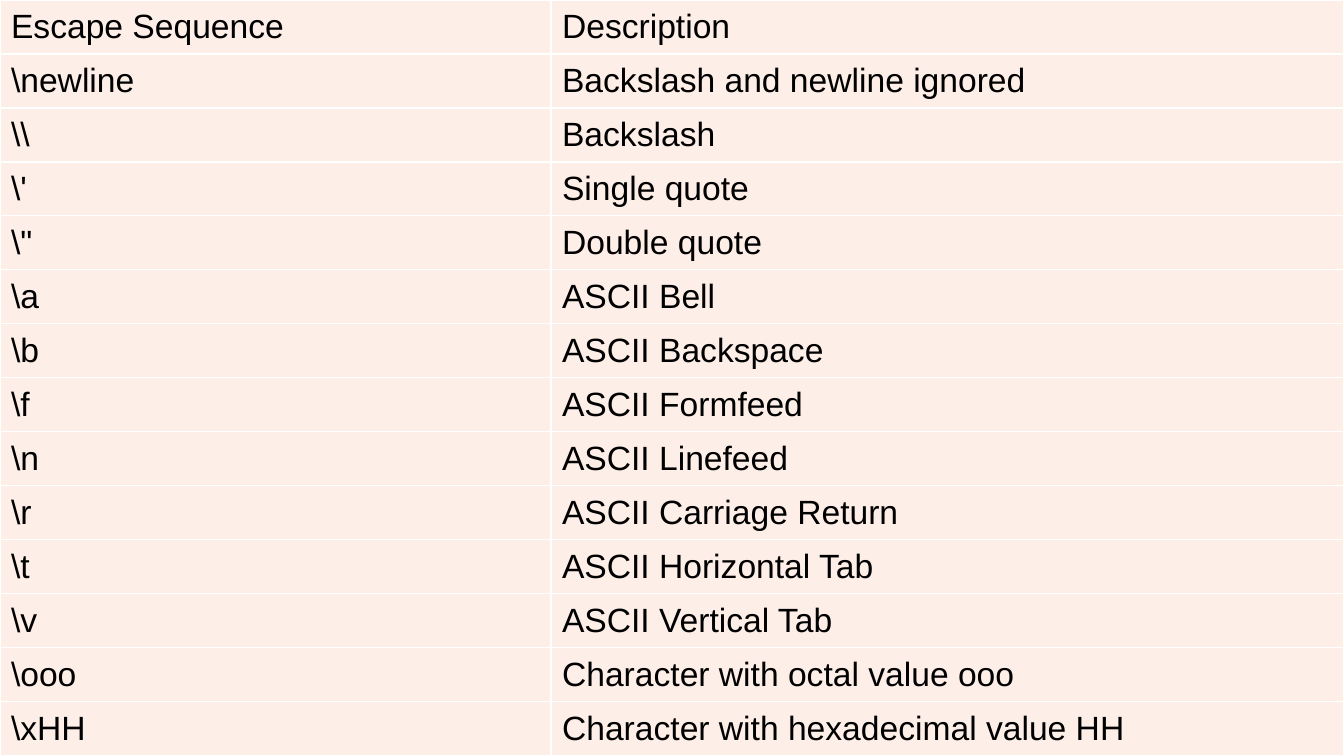
from lxml import etree
from pptx import Presentation
from pptx.dml.color import RGBColor
from pptx.enum.text import MSO_ANCHOR
from pptx.oxml.ns import qn
from pptx.util import Inches, Pt

MIDDLE = MSO_ANCHOR.MIDDLE
FONT = "Arial"
INK, CELL_FILL, RULE = "000000", "FEEEE8", "FFFFFF"
BACKGROUND = ("047385", "000000")
COLUMN_SHARES = (0.41, 0.59)
ROWS = [
    ("Escape Sequence", "Description"),
    (r"\newline", "Backslash and newline ignored"),
    (r"\\", "Backslash"),
    (r"\'", "Single quote"),
    (r'\"', "Double quote"),
    (r"\a", "ASCII Bell"),
    (r"\b", "ASCII Backspace"),
    (r"\f", "ASCII Formfeed"),
    (r"\n", "ASCII Linefeed"),
    (r"\r", "ASCII Carriage Return"),
    (r"\t", "ASCII Horizontal Tab"),
    (r"\v", "ASCII Vertical Tab"),
    (r"\ooo", "Character with octal value ooo"),
    (r"\xHH", "Character with hexadecimal value HH"),
]


def color(hex_string):
    return RGBColor.from_string(hex_string)


def set_background(s):
    """Fill the slide with a gradient that spreads from its top edge."""
    fill = s.background.fill
    fill.gradient()
    for stop, shade in zip(fill.gradient_stops, BACKGROUND):
        stop.color.rgb = color(shade)
    grad = s.element.find(".//" + qn("a:gradFill"))
    grad.remove(grad.find(qn("a:lin")))
    path = etree.SubElement(grad, qn("a:path"), path="circle")
    etree.SubElement(path, qn("a:fillToRect"), l="43000", t="0", r="43000", b="100000")


def set_borders(cell):
    """Rule all four sides; borders must come before the cell's fill."""
    props = cell._tc.get_or_add_tcPr()
    for i, side in enumerate(("a:lnL", "a:lnR", "a:lnT", "a:lnB")):
        line = etree.Element(qn(side), w=str(Pt(1)))
        solid = etree.SubElement(line, qn("a:solidFill"))
        etree.SubElement(solid, qn("a:srgbClr"), val=RULE)
        props.insert(i, line)


def style_cell(cell, text):
    cell.text = text
    cell.vertical_anchor = MIDDLE
    cell.margin_left = cell.margin_right = Inches(0.11)
    cell.margin_top = cell.margin_bottom = Inches(0.05)
    cell.fill.solid()
    cell.fill.fore_color.rgb = color(CELL_FILL)
    set_borders(cell)
    font = cell.text_frame.paragraphs[0].font
    font.name, font.size, font.bold = FONT, Pt(24), False
    font.color.rgb = color(INK)


def add_escape_table(s, left, top, width, height):
    frame = s.shapes.add_table(len(ROWS), len(COLUMN_SHARES), left, top, width, height)
    table = frame.table
    table.first_row = table.horz_banding = False
    for column, share in zip(table.columns, COLUMN_SHARES):
        column.width = round(width * share)
    for row, texts in zip(table.rows, ROWS):
        row.height = height // len(ROWS)
        for cell, text in zip(row.cells, texts):
            style_cell(cell, text)


def main():
    prs = Presentation()
    prs.slide_width, prs.slide_height = Inches(13.33), Inches(7.5)
    s = prs.slides.add_slide(prs.slide_layouts[6])
    set_background(s)
    add_escape_table(s, 0, 0, prs.slide_width, prs.slide_height)
    prs.save("out.pptx")


if __name__ == "__main__":
    main()
